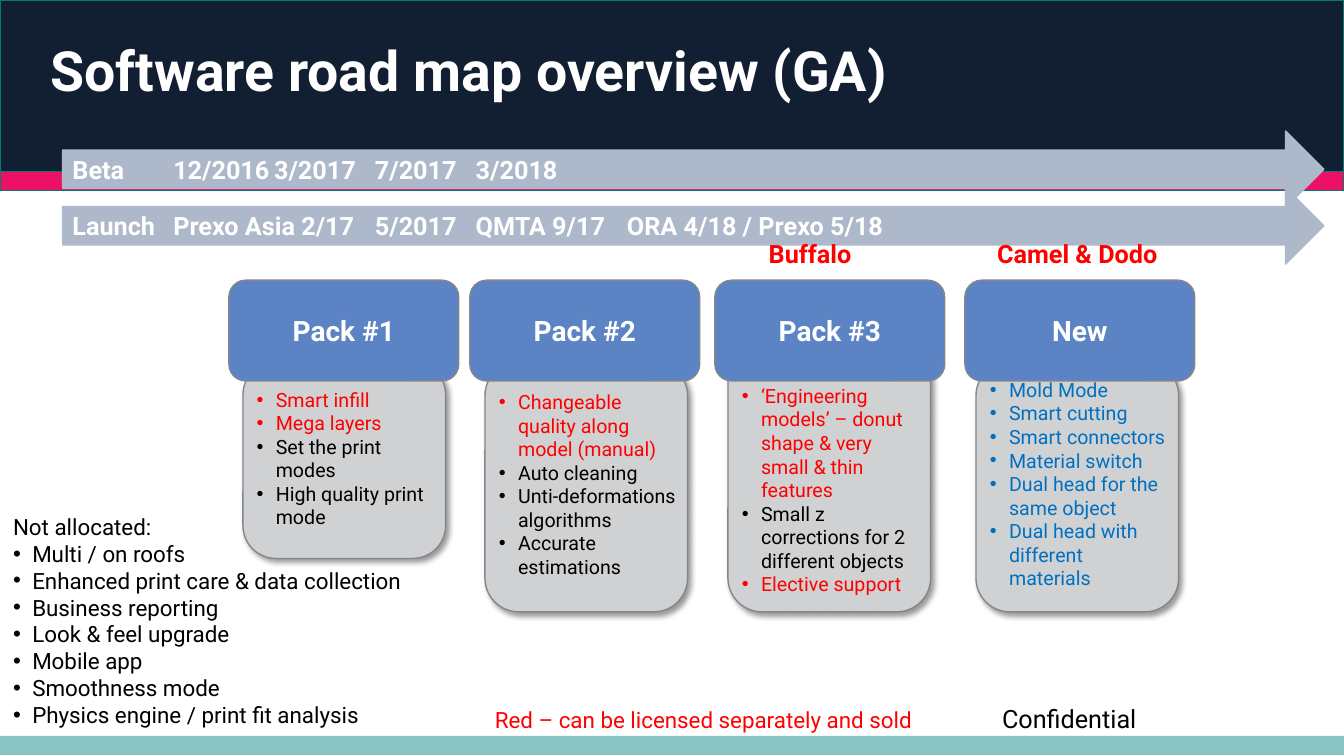
"""Build the software road map overview slide."""
from lxml import etree
from pptx import Presentation
from pptx.dml.color import RGBColor
from pptx.enum.shapes import MSO_SHAPE as SHAPE
from pptx.enum.text import MSO_ANCHOR as ANCHOR, MSO_AUTO_SIZE as FIT, PP_ALIGN as ALIGN
from pptx.oxml.ns import qn
from pptx.util import Inches, Pt

COLORS = {
    "navy": "121E32", "teal": "007C74", "pink": "ED1067", "aqua": "89C3C3",
    "arrow": "ADB9CA", "head": "5C84C5", "card": "D0D1D3", "edge": "83868B",
    "red": "FF0000", "blue": "0070C0", "black": "000000", "white": "FFFFFF",
}


def add_box(kind, at, fill, line=None):
    sp = s.shapes.add_shape(kind, *[Inches(v) for v in at])
    sp.shadow.inherit = False
    sp.fill.solid()
    sp.fill.fore_color.rgb = RGBColor.from_string(COLORS[fill])
    if line:
        sp.line.color.rgb = RGBColor.from_string(COLORS[line])
        sp.line.width = Pt(1)
    else:
        sp.line.fill.background()
    return sp


def write(tf, lines, size, bold=False, align=ALIGN.LEFT, anchor=ANCHOR.MIDDLE):
    tf.vertical_anchor = anchor
    for i, (text, color, bullet) in enumerate(lines):
        p = tf.add_paragraph() if i else tf.paragraphs[0]
        p.text = text
        p.alignment = align
        p.space_before = Pt(0)
        pPr = p._p.get_or_add_pPr()
        pPr.set("marL", str(Inches(0.19) if bullet else 0))
        pPr.set("indent", str(Inches(-0.19) if bullet else 0))
        if bullet:
            etree.SubElement(pPr, qn("a:buFont"), typeface="Arial")
            etree.SubElement(pPr, qn("a:buChar"), char="•")
        else:
            etree.SubElement(pPr, qn("a:buNone"))
        for r in p.runs:
            r.font.name = "Roboto"
            r.font.size = Pt(size)
            r.font.bold = bold
            r.font.color.rgb = RGBColor.from_string(COLORS[color])


prs = Presentation()
prs.slide_width, prs.slide_height = Inches(13.33), Inches(7.5)
s = prs.slides.add_slide(prs.slide_layouts[1])
title, backlog = s.placeholders

bands = [
    ((0, 1.7, 13.33, 0.19), "pink", "teal"),
    ((0, 7.3, 13.33, 0.19), "aqua", None),
    ((0, 0, 13.33, 1.7), "navy", "teal"),
]
for at, fill, line in bands:
    band = add_box(SHAPE.RECTANGLE, at, fill, line)
    title.element.addprevious(band.element)

title.left, title.top, title.width, title.height = [Inches(v) for v in (0.3, 0.33, 10.04, 0.79)]
tf = title.text_frame
tf.auto_size = FIT.NONE
tf.margin_left = Inches(0.2)
write(tf, [("Software road map overview (GA)", "white", False)], 39.6, bold=True)
tf.paragraphs[0].line_spacing = 0.9

backlog.left, backlog.top, backlog.width, backlog.height = [Inches(v) for v in (0.03, 5.04, 4.11, 2.29)]
backlog.text_frame.auto_size = FIT.NONE
items = ["Multi / on roofs", "Enhanced print care & data collection", "Business reporting",
         "Look & feel upgrade", "Mobile app", "Smoothness mode",
         "Physics engine / print fit analysis"]
write(backlog.text_frame,
      [("Not allocated:", "black", False)] + [(item, "black", True) for item in items],
      16, anchor=ANCHOR.TOP)

arrows = [
    (1.3, ["Beta", "12/2016", "3/2017", "7/2017", "3/2018"], [1.94, 4.59, 6.69, 9.5]),
    (1.86, ["Launch", "Prexo Asia 2/17", "5/2017", "QMTA 9/17", "ORA 4/18 / Prexo 5/18"],
     [1.66, 4.51, 6.86, 8.92]),
]
for top, labels, stops in arrows:
    arrow = add_box(SHAPE.RIGHT_ARROW, (0.62, top, 12.51, 0.76), "arrow", "arrow")
    write(arrow.text_frame, [("\t".join(labels), "white", False)], 18, bold=True)
    tabs = etree.SubElement(arrow.text_frame.paragraphs[0]._p.pPr, qn("a:tabLst"))
    for stop in stops:
        etree.SubElement(tabs, qn("a:tab"), pos=str(Inches(stop)), algn="l")

packs = [
    ("Pack #1", 2.27, (2.41, 3.59, 2.01, 1.95), 0.16,
     [("Smart infill", "red"), ("Mega layers", "red"), ("Set the print modes", "black"),
      ("High quality print mode", "black")]),
    ("Pack #2", 4.66, (4.81, 3.59, 2.01, 2.48), 0.18,
     [("Changeable quality along model (manual)", "red"), ("Auto cleaning", "black"),
      ("Unti-deformations algorithms", "black"), ("Accurate estimations", "black")]),
    ("Pack #3", 7.09, (7.22, 3.46, 2.01, 2.61), 0.25,
     [("‘Engineering models’ – donut shape & very small & thin features", "red"),
      ("Small z corrections for 2 different objects", "black"), ("Elective support", "red")]),
    ("New", 9.57, (9.68, 3.59, 2.01, 2.48), 0.06,
     [("Mold Mode", "blue"), ("Smart cutting", "blue"), ("Smart connectors", "blue"),
      ("Material switch", "blue"), ("Dual head for the same object", "blue"),
      ("Dual head with different materials", "blue")]),
]
for name, left, at, inset, features in packs:
    card = add_box(SHAPE.ROUNDED_RECTANGLE, at, "card", "edge")
    effects = card._element.spPr.find(qn("a:effectLst"))
    shadow = etree.SubElement(effects, qn("a:outerShdw"), blurRad=str(Pt(4)), dist=str(Pt(3)),
                              dir="2700000", algn="tl", rotWithShape="0")
    tint = etree.SubElement(shadow, qn("a:srgbClr"), val=COLORS["black"])
    etree.SubElement(tint, qn("a:alpha"), val="40000")
    tf = card.text_frame
    tf.margin_left, tf.margin_right, tf.margin_top = Inches(0.04), 0, Inches(inset)
    write(tf, [(text, color, True) for text, color in features], 14, anchor=ANCHOR.TOP)
    head = add_box(SHAPE.ROUNDED_RECTANGLE, (left, 2.78, 2.28, 1), "head", "edge")
    write(head.text_frame, [(name, "white", False)], 20, bold=True, align=ALIGN.CENTER)

notes = [
    ("Buffalo", (7.5, 2.32, 1.07, 0.4), 18, "red", True, ALIGN.CENTER, False),
    ("Camel & Dodo", (9.72, 2.32, 1.93, 0.4), 18, "red", True, ALIGN.CENTER, False),
    ("Red – can be licensed separately and sold", (4.81, 6.96, 4.62, 0.37), 16, "red", False,
     ALIGN.LEFT, True),
    ("Confidential", (9.84, 6.93, 3.28, 0.4), 18, "black", False, ALIGN.LEFT, True),
]
for text, at, size, color, bold, align, wrap in notes:
    tf = s.shapes.add_textbox(*[Inches(v) for v in at]).text_frame
    tf.word_wrap = wrap
    write(tf, [(text, color, False)], size, bold, align, ANCHOR.TOP)

prs.save("out.pptx")
